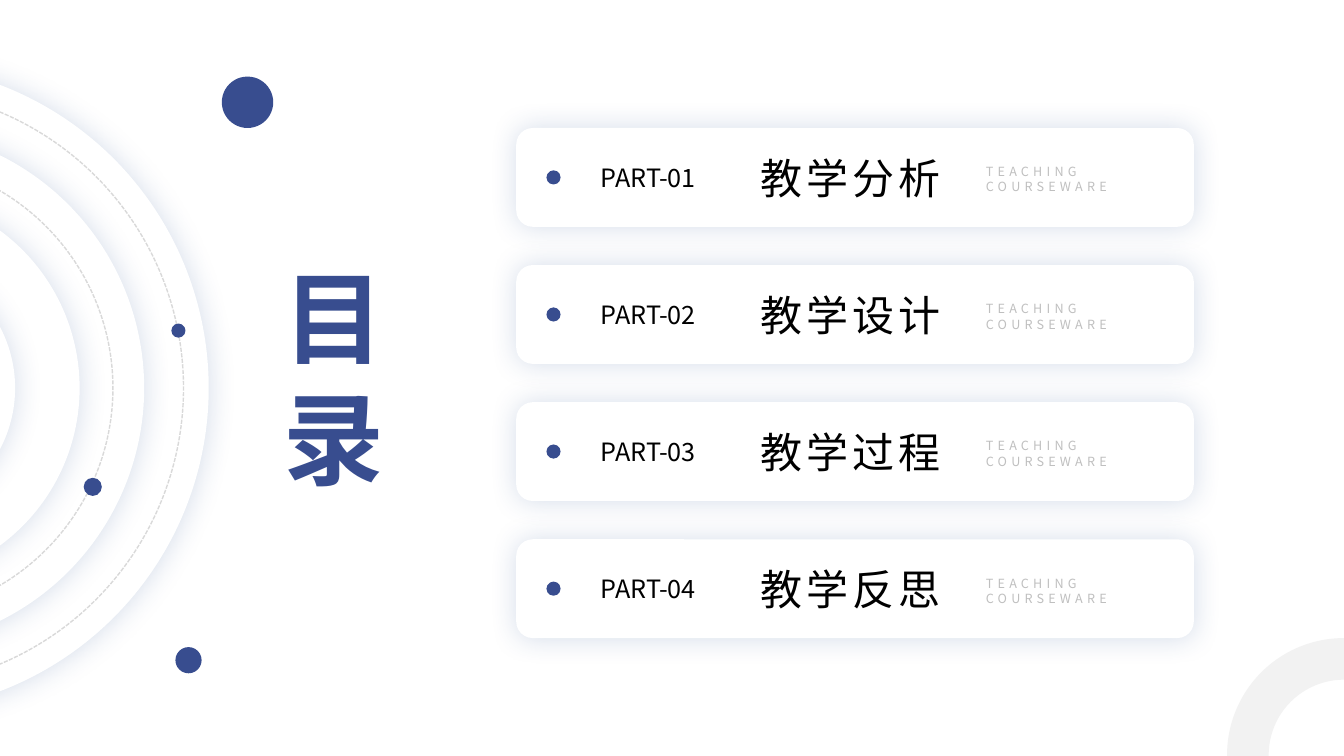
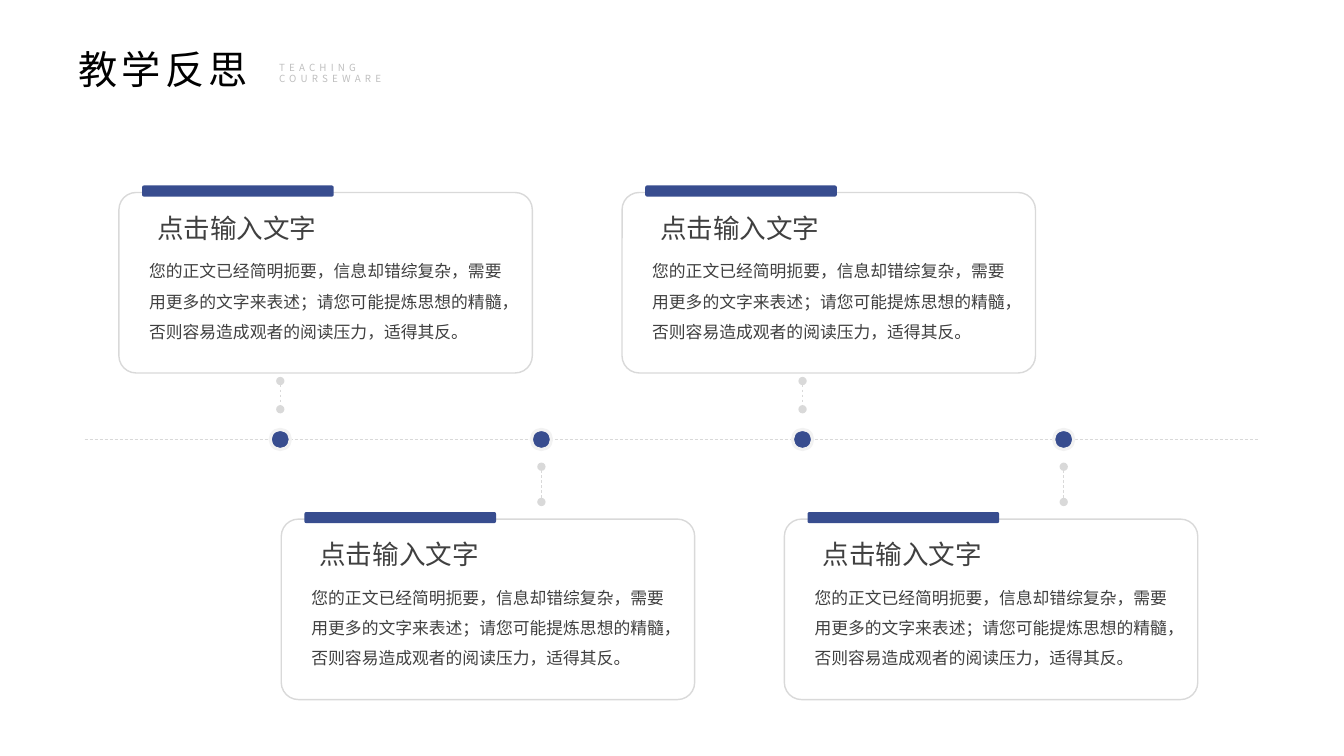
from dataclasses import dataclass
from typing import Optional, Union

from lxml.etree import SubElement
from pptx import Presentation
from pptx.dml.color import RGBColor
from pptx.enum.dml import MSO_LINE
from pptx.enum.shapes import MSO_CONNECTOR, MSO_SHAPE
from pptx.enum.text import MSO_ANCHOR, MSO_AUTO_SIZE, PP_ALIGN
from pptx.oxml.ns import qn
from pptx.shapes.autoshape import Shape
from pptx.shapes.shapetree import GroupShapes, SlideShapes
from pptx.slide import Slide
from pptx.text.text import TextFrame
from pptx.util import Emu, Pt

# Shared look
FONT_NAME = "Noto Sans CJK SC"
BLUE = RGBColor(0x38, 0x4D, 0x8F)
WHITE = RGBColor(0xFF, 0xFF, 0xFF)
BLACK = RGBColor(0x00, 0x00, 0x00)
BODY_GRAY = RGBColor(0x40, 0x40, 0x40)
CAPTION_GRAY = RGBColor(0xBF, 0xBF, 0xBF)
LINE_GRAY = RGBColor(0xD9, 0xD9, 0xD9)
PALE_GRAY = RGBColor(0xF2, 0xF2, 0xF2)
SHADOW_BLUE = RGBColor(0x2F, 0x55, 0x97)
EMU_PER_PX = 9144  # 100 px to the inch

CAPTION = "TEACHING\nCOURSEWARE"
CARD_HEADING = "点击输入文字"
CARD_BODY = (
    "您的正文已经简明扼要，信息却错综复杂，需要用更多的文字来表述；"
    "请您可能提炼思想的精髓，否则容易造成观者的阅读压力，适得其反。"
)
PART_NAMES = ["教学分析", "教学设计", "教学过程", "教学反思"]

Shapes = Union[SlideShapes, GroupShapes]


@dataclass(frozen=True)
class Box:
    left: int
    top: int
    width: int
    height: int

    def emu(self) -> tuple[Emu, Emu, Emu, Emu]:
        return px(self.left), px(self.top), px(self.width), px(self.height)


@dataclass(frozen=True)
class TextStyle:
    size: int
    color: RGBColor
    bold: bool = False
    letter_spacing: int = 0
    line_spacing: float = 1.0


@dataclass(frozen=True)
class Outline:
    color: RGBColor
    width: float
    dash: Optional[MSO_LINE] = None


@dataclass(frozen=True)
class Milestone:
    center: int
    link_top: int
    link_bottom: int
    card_left: int
    card_top: int


CONTENTS_TITLE = TextStyle(72, BLUE, bold=True)
SLIDE_TITLE = TextStyle(28, BLACK, letter_spacing=3)
PART_NUMBER = TextStyle(18, BLACK)
PART_TITLE = TextStyle(30, BLACK, letter_spacing=3)
PART_CAPTION = TextStyle(9, CAPTION_GRAY, letter_spacing=3)
TITLE_CAPTION = TextStyle(7, CAPTION_GRAY, letter_spacing=3)
HEADING = TextStyle(19, BODY_GRAY)
BODY = TextStyle(12, BODY_GRAY, line_spacing=1.5)

DASHED_RING = Outline(LINE_GRAY, 1, MSO_LINE.SQUARE_DOT)
CARD_OUTLINE = Outline(LINE_GRAY, 1)
DOT_OUTLINE = Outline(PALE_GRAY, 2.25)
TIMELINE = Outline(LINE_GRAY, 0.5, MSO_LINE.DASH)


def px(length: int) -> Emu:
    return Emu(length * EMU_PER_PX)


# Drawing helpers
def write_text(text_frame: TextFrame, text: str, style: TextStyle) -> None:
    text_frame.word_wrap = True
    text_frame.auto_size = MSO_AUTO_SIZE.NONE
    text_frame.vertical_anchor = MSO_ANCHOR.TOP
    text_frame.text = text
    for paragraph in text_frame.paragraphs:
        paragraph.alignment = PP_ALIGN.LEFT
        paragraph.line_spacing = style.line_spacing
        for run in paragraph.runs:
            run.font.size = Pt(style.size)
            run.font.bold = style.bold
            run.font.color.rgb = style.color
            run.font.name = FONT_NAME
            properties = run.font._element
            SubElement(properties, qn("a:ea")).set("typeface", FONT_NAME)
            if style.letter_spacing:
                properties.set("spc", str(style.letter_spacing * 100))


def add_text(shapes: Shapes, box: Box, text: str, style: TextStyle) -> None:
    write_text(shapes.add_textbox(*box.emu()).text_frame, text, style)


def set_title(slide: Slide, box: Box, text: str, style: TextStyle) -> None:
    title = slide.shapes.title
    title.left, title.top, title.width, title.height = box.emu()
    write_text(title.text_frame, text, style)


def add_shape(
    shapes: Shapes,
    kind: MSO_SHAPE,
    box: Box,
    fill: Optional[RGBColor],
    outline: Optional[Outline] = None,
    adjustment: Optional[float] = None,
) -> Shape:
    shape = shapes.add_shape(kind, *box.emu())
    shape.shadow.inherit = False
    if adjustment is not None:
        shape.adjustments[0] = adjustment
    if fill is None:
        shape.fill.background()
    else:
        shape.fill.solid()
        shape.fill.fore_color.rgb = fill
    if outline is None:
        shape.line.fill.background()
    else:
        apply_outline(shape.line, outline)
    return shape


def apply_outline(line, outline: Outline) -> None:
    line.color.rgb = outline.color
    line.width = Pt(outline.width)
    if outline.dash is not None:
        line.dash_style = outline.dash


def add_circle(
    shapes: Shapes,
    center_x: int,
    center_y: int,
    diameter: int,
    fill: Optional[RGBColor] = BLUE,
    outline: Optional[Outline] = None,
) -> Shape:
    radius = diameter // 2
    box = Box(center_x - radius, center_y - radius, diameter, diameter)
    return add_shape(shapes, MSO_SHAPE.OVAL, box, fill, outline)


def add_soft_shadow(shape: Shape) -> None:
    effects = shape._element.spPr.find(qn("a:effectLst"))
    shadow = SubElement(effects, qn("a:outerShdw"))
    for name, value in (("blurRad", Pt(20)), ("dist", 0), ("dir", 0), ("algn", "ctr"), ("rotWithShape", 0)):
        shadow.set(name, str(int(value) if name != "algn" else value))
    color = SubElement(shadow, qn("a:srgbClr"))
    color.set("val", str(SHADOW_BLUE))
    SubElement(color, qn("a:alpha")).set("val", "20000")


def add_line(
    shapes: Shapes, start: tuple[int, int], end: tuple[int, int], oval_ends: bool = False
) -> None:
    connector = shapes.add_connector(MSO_CONNECTOR.STRAIGHT, *map(px, start + end))
    apply_outline(connector.line, TIMELINE)
    properties = connector._element.spPr
    if oval_ends:
        for end_name in ("a:headEnd", "a:tailEnd"):
            SubElement(properties.find(qn("a:ln")), qn(end_name)).set("type", "oval")
    SubElement(properties, qn("a:effectLst"))


# Contents slide
def add_rings(slide: Slide) -> None:
    shapes = slide.shapes.add_group_shape().shapes
    center_x, center_y = -115, 385
    for index in range(4):
        add_soft_shadow(add_circle(shapes, center_x, center_y, 644 - 128 * index, WHITE))
    for diameter in (454, 594):
        add_circle(shapes, center_x, center_y, diameter, None, DASHED_RING)
    add_circle(shapes, 92, 483, 18)
    add_circle(shapes, 177, 328, 14)


def add_part_row(slide: Slide, top: int, number: int, name: str) -> None:
    shapes = slide.shapes.add_group_shape().shapes
    left = 512
    panel = add_shape(shapes, MSO_SHAPE.ROUNDED_RECTANGLE, Box(left, top, 672, 98), WHITE)
    add_soft_shadow(panel)
    add_circle(shapes, left + 37, top + 49, 14)
    add_text(shapes, Box(left + 74, top + 29, 146, 40), f"PART-{number:02d}", PART_NUMBER)
    add_text(shapes, Box(left + 232, top + 19, 309, 61), name, PART_TITLE)
    add_text(shapes, Box(left + 456, top + 31, 193, 40), CAPTION, PART_CAPTION)


def build_contents(slide: Slide) -> None:
    set_title(slide, Box(271, 249, 122, 252), "目\n录", CONTENTS_TITLE)
    add_rings(slide)
    add_circle(slide.shapes, 245, 101, 51)
    add_circle(slide.shapes, 187, 655, 26)
    for index, name in enumerate(PART_NAMES):
        add_part_row(slide, 127 + 136 * index, index + 1, name)
    add_shape(slide.shapes, MSO_SHAPE.DONUT, Box(1217, 633, 232, 232), PALE_GRAY, adjustment=0.178)


# Reflection slide
def add_card(slide: Slide, left: int, top: int) -> None:
    shapes = slide.shapes.add_group_shape().shapes
    rounded = MSO_SHAPE.ROUNDED_RECTANGLE
    add_shape(shapes, rounded, Box(left, top, 410, 179), WHITE, CARD_OUTLINE, 0.095)
    add_shape(shapes, rounded, Box(left + 23, top - 7, 190, 11), BLUE)
    add_text(shapes, Box(left + 28, top + 14, 245, 42), CARD_HEADING, HEADING)
    add_text(shapes, Box(left + 20, top + 53, 371, 98), CARD_BODY, BODY)


def build_reflection(slide: Slide) -> None:
    set_title(slide, Box(68, 40, 225, 57), PART_NAMES[-1], SLIDE_TITLE)
    add_text(slide.shapes, Box(267, 56, 193, 34), CAPTION, TITLE_CAPTION)
    timeline_y = 436
    add_line(slide.shapes, (84, timeline_y), (1249, timeline_y))
    for index in range(4):
        column, is_below = divmod(index, 2)
        milestone = Milestone(
            center=278 + 259 * index,
            link_top=463 if is_below else 378,
            link_bottom=498 if is_below else 406,
            card_left=118 + 499 * column + 161 * is_below,
            card_top=515 if is_below else 191,
        )
        add_circle(slide.shapes, milestone.center, timeline_y, 20, BLUE, DOT_OUTLINE)
        add_line(
            slide.shapes,
            (milestone.center, milestone.link_top),
            (milestone.center, milestone.link_bottom),
            oval_ends=True,
        )
        add_card(slide, milestone.card_left, milestone.card_top)


def main() -> None:
    presentation = Presentation()
    presentation.slide_width, presentation.slide_height = px(1333), px(750)
    title_only = presentation.slide_layouts[5]
    for build in (build_contents, build_reflection):
        build(presentation.slides.add_slide(title_only))
    presentation.save("out.pptx")


if __name__ == "__main__":
    main()
